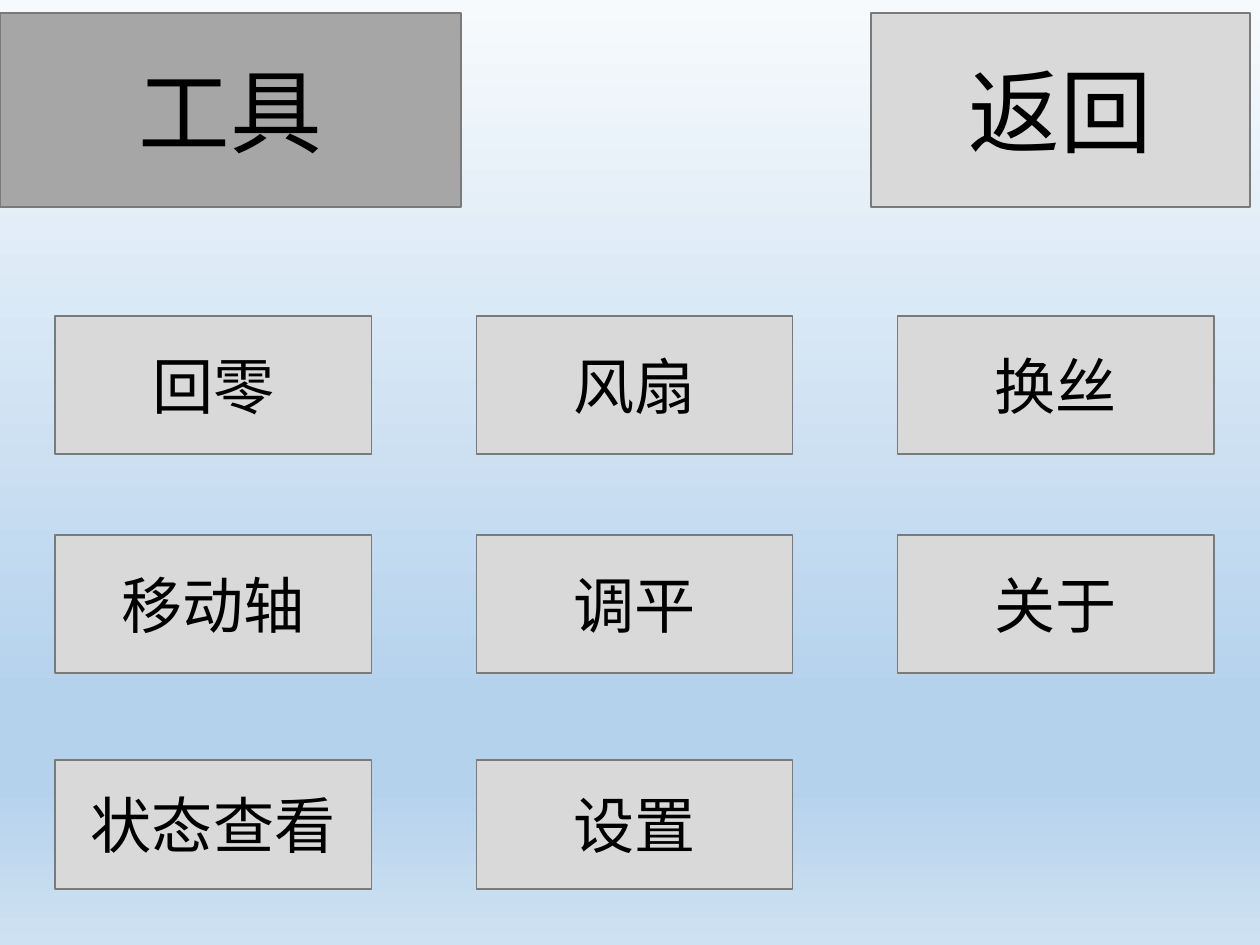
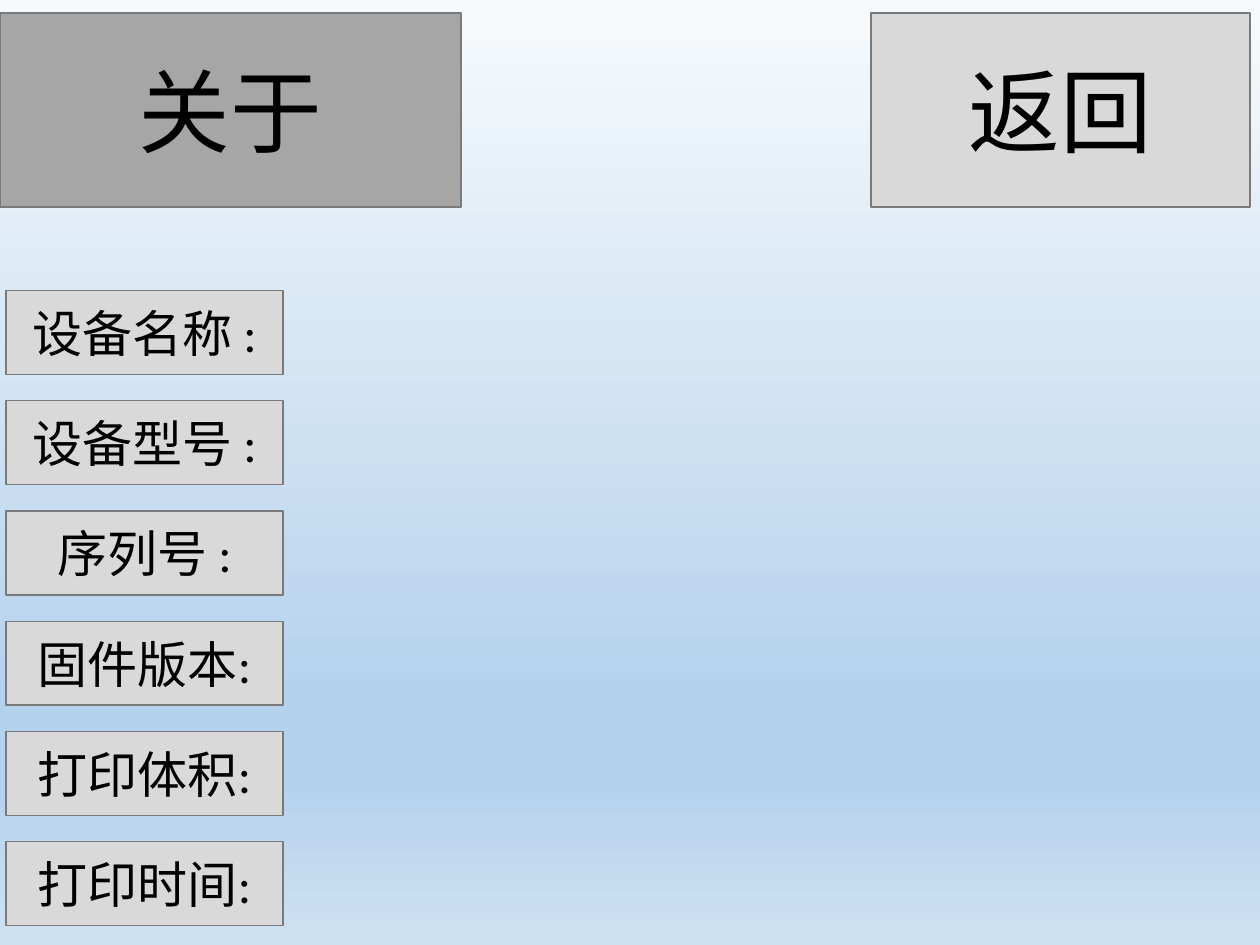
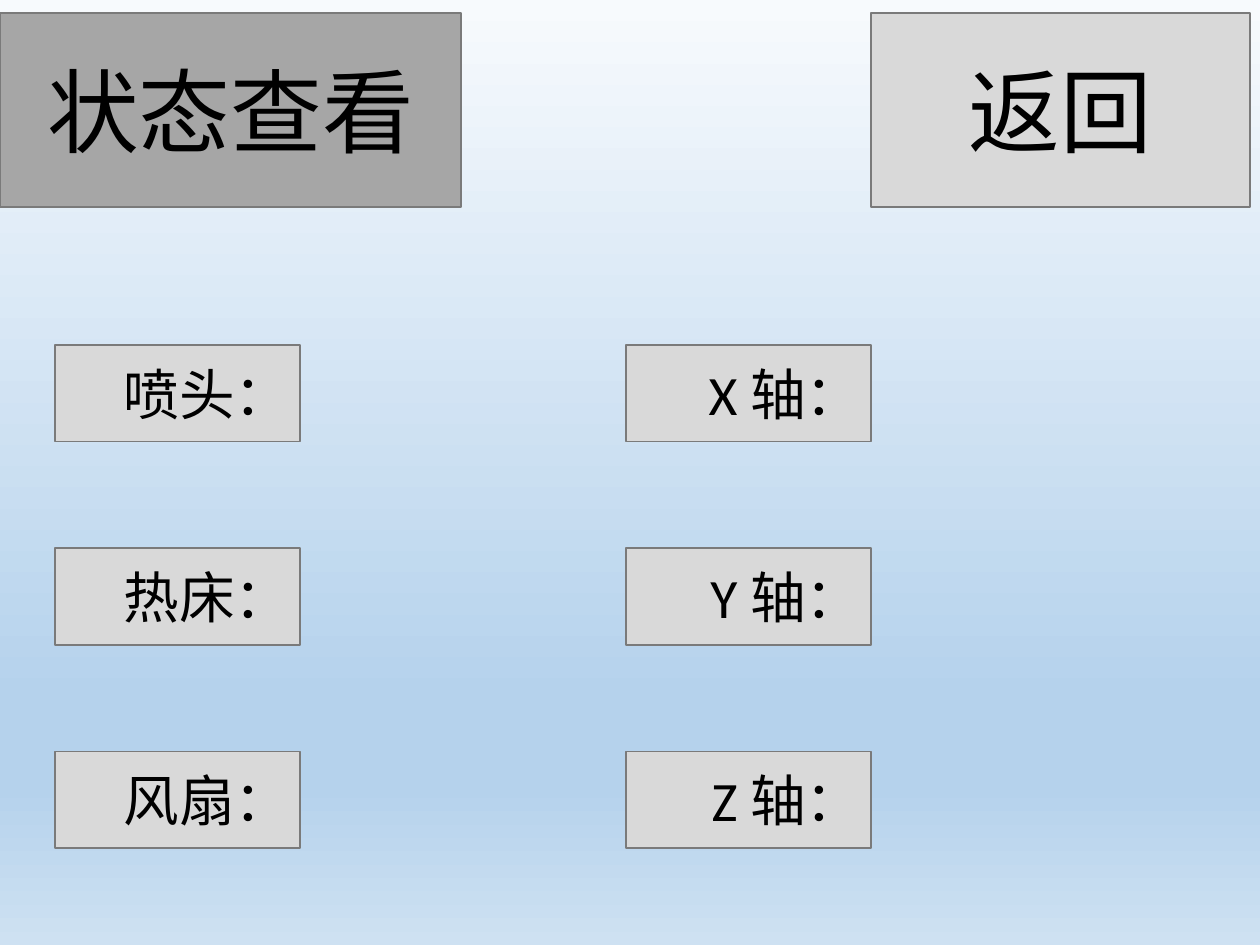
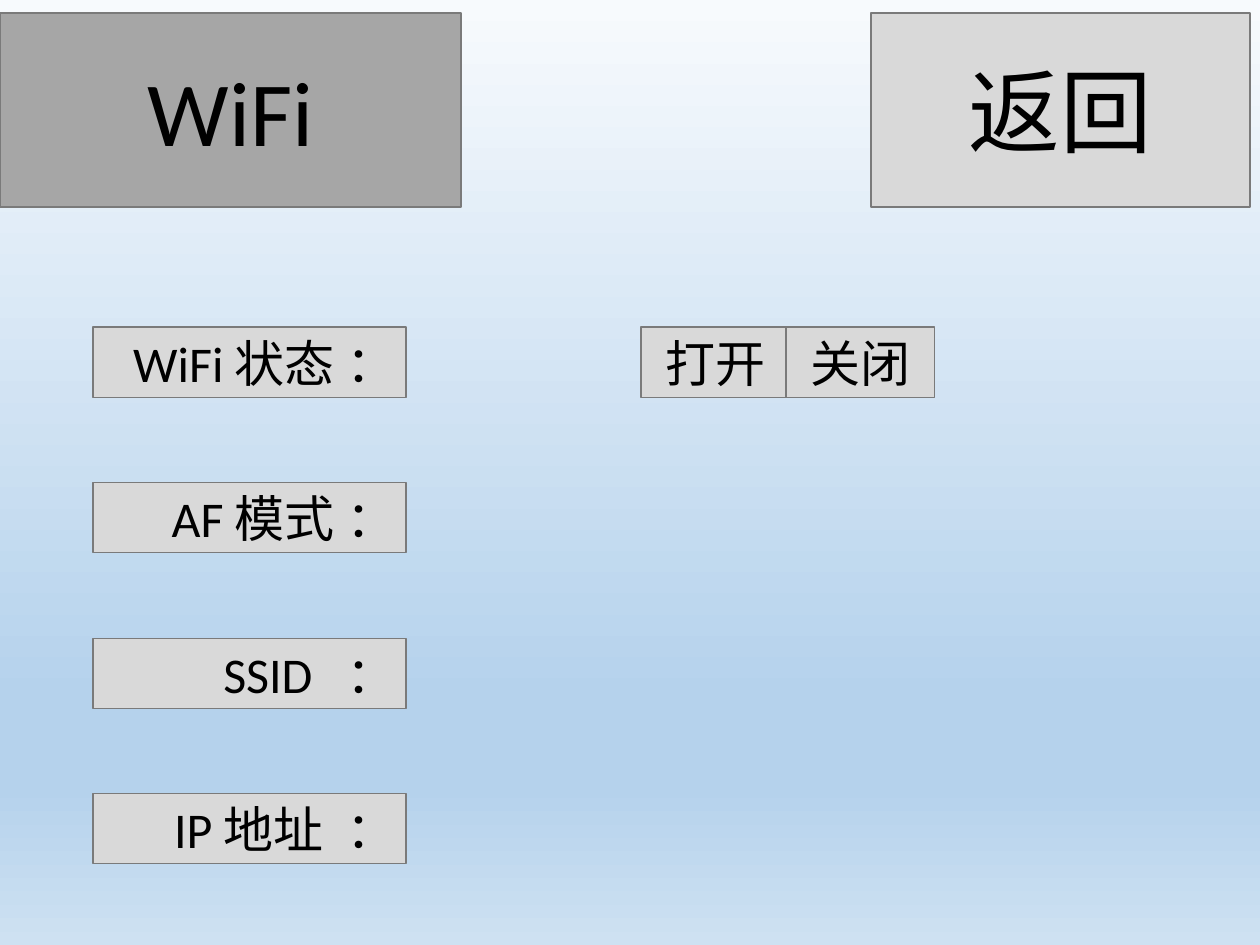
from dataclasses import dataclass

from lxml import etree
from pptx import Presentation
from pptx.dml.color import RGBColor
from pptx.enum import shapes, text
from pptx.oxml.ns import qn
from pptx.util import Cm, Pt

# ---- Content ----
BACK = "返回"
TOOLS = ("工具", [["回零", "风扇", "换丝"],
                ["移动轴", "调平", "关于"],
                ["状态查看", "设置"]])
ABOUT = ("关于", ["设备名称 :", "设备型号 :", "序列号 :",
                "固件版本:", "打印体积:", "打印时间:"])
STATUS = ("状态查看", [["喷头：", "X 轴："],
                   ["热床：", "Y 轴："],
                   ["风扇：", "Z 轴："]])
# Each label has the extra width, in points, of the gap before its colon
WIFI = ("WiFi", [("WiFi 状态 ：", 0), ("AF 模式 ：", 0),
                 ("SSID ：", 16), ("IP 地址 ：", 8)])
WIFI_SWITCH = ["打开", "关闭"]


# ---- Theme ----
@dataclass(frozen=True)
class Theme:
    font: str = "Calibri"
    ink: str = "000000"
    title_fill: str = "A6A6A6"
    button_fill: str = "D9D9D9"
    border: str = "7A7A7A"
    border_width: float = 1
    sky: tuple = ((0, "F7FAFD"), (74, "B5D2EC"), (83, "B5D2EC"), (100, "CEE1F2"))
    title_size: int = 66
    tool_size: int = 44
    status_size: int = 40
    label_size: int = 36


THEME = Theme()
CENTER, RIGHT = text.PP_ALIGN.CENTER, text.PP_ALIGN.RIGHT

prs = Presentation()
prs.slide_width, prs.slide_height = Cm(32), Cm(24)


# ---- Shared parts ----
def paint_background(master):
    """Give every slide the same vertical gradient."""
    fill = master.background.fill
    fill.gradient()
    fill.gradient_angle = 270
    stops = next(master.element.iter(qn("a:gsLst")))
    for stop in list(stops):
        stops.remove(stop)
    for percent, color in THEME.sky:
        stop = etree.SubElement(stops, qn("a:gs"), pos=str(percent * 1000))
        etree.SubElement(stop, qn("a:srgbClr"), val=color)


def add_button(slide, box, label, size, align=CENTER, fill=THEME.button_fill, gap=0):
    """Draw a bordered button; box is left, top, width, height in cm."""
    button = slide.shapes.add_shape(shapes.MSO_SHAPE.RECTANGLE, *map(Cm, box))
    button.shadow.inherit = False
    button.fill.solid()
    button.fill.fore_color.rgb = RGBColor.from_string(fill)
    button.line.color.rgb = RGBColor.from_string(THEME.border)
    button.line.width = Pt(THEME.border_width)

    frame = button.text_frame
    frame.word_wrap = True
    frame.vertical_anchor = text.MSO_ANCHOR.MIDDLE
    line = frame.paragraphs[0]
    line.alignment = align
    # A widened gap needs the space in a run of its own
    for part in label.rpartition(" ") if gap else (label,):
        run = line.add_run()
        run.text = part
        run.font.name = THEME.font
        run.font.size = Pt(size)
        run.font.color.rgb = RGBColor.from_string(THEME.ink)
        if part == " ":
            run._r.get_or_add_rPr().set("spc", str(gap * 100))


def add_screen(title):
    """Add a slide with its title block and the back button."""
    slide = prs.slides.add_slide(prs.slide_layouts[6])
    add_button(slide, (0, 0.33, 11.71, 4.93), title, THEME.title_size,
               fill=THEME.title_fill)
    add_button(slide, (22.12, 0.33, 9.63, 4.93), BACK, THEME.title_size)
    return slide


paint_background(prs.slide_master)

# ---- Tools ----
title, tool_rows = TOOLS
screen = add_screen(title)
row_places = [(8.03, 3.5), (13.59, 3.5), (19.3, 3.28)]
for (top, height), tools in zip(row_places, tool_rows):
    for col, tool in enumerate(tools):
        add_button(screen, (1.4 + col * 10.7, top, 8.03, height), tool,
                   THEME.tool_size)

# ---- About ----
title, about_labels = ABOUT
screen = add_screen(title)
for row, label in enumerate(about_labels):
    add_button(screen, (0.15, 7.38 + row * 2.8, 7.04, 2.13), label,
               THEME.label_size)

# ---- Status ----
title, status_rows = STATUS
screen = add_screen(title)
for row, readings in enumerate(status_rows):
    for col, reading in enumerate(readings):
        add_button(screen, (1.4 + col * 14.5, 8.76 + row * 5.16, 6.22, 2.46),
                   reading, THEME.status_size, RIGHT)

# ---- WiFi ----
title, wifi_labels = WIFI
screen = add_screen(title)
wifi_top, wifi_height = 8.31, 1.78
for row, (label, gap) in enumerate(wifi_labels):
    add_button(screen, (2.36, wifi_top + row * 3.95, 7.95, wifi_height), label,
               THEME.label_size, RIGHT, gap=gap)
for col, state in enumerate(WIFI_SWITCH):
    add_button(screen, (16.28 + col * 3.68, wifi_top, 3.78, wifi_height), state,
               THEME.label_size)

prs.save("out.pptx")
